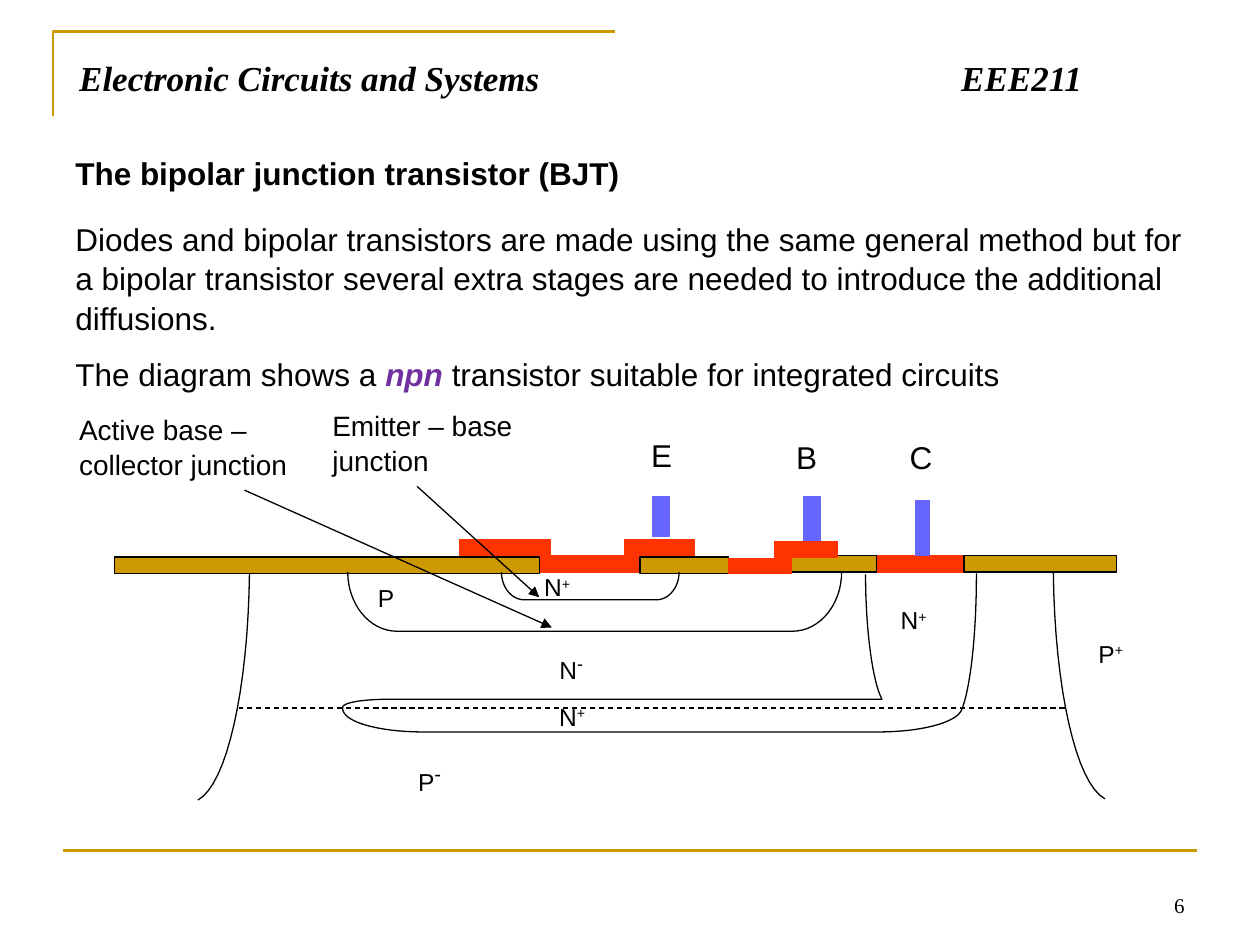
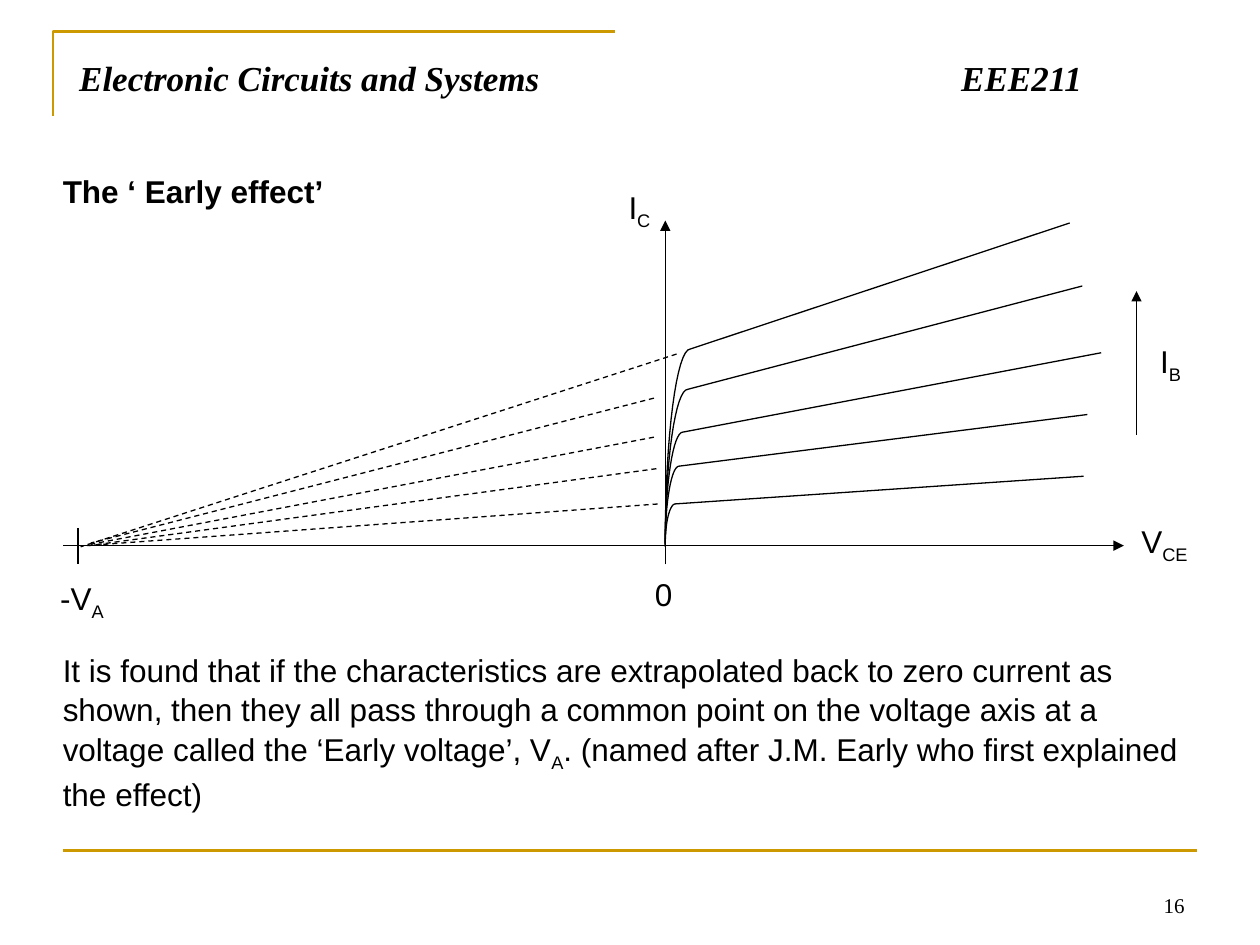
"""Builds two lecture slides on the bipolar junction transistor and the Early effect."""
from dataclasses import dataclass

from lxml import etree
from pptx import Presentation
from pptx.dml.color import RGBColor
from pptx.enum.dml import MSO_LINE
from pptx.enum.shapes import MSO_CONNECTOR, MSO_SHAPE
from pptx.enum.text import MSO_ANCHOR, PP_ALIGN
from pptx.oxml.ns import qn
from pptx.shapes.base import BaseShape
from pptx.slide import Slide
from pptx.util import Cm, Pt

STRAIGHT = MSO_CONNECTOR.STRAIGHT
RECTANGLE = MSO_SHAPE.RECTANGLE
DASH = MSO_LINE.DASH
TOP, BOTTOM = MSO_ANCHOR.TOP, MSO_ANCHOR.BOTTOM
LEFT, RIGHT = PP_ALIGN.LEFT, PP_ALIGN.RIGHT

COLORS = {
    "ink": "000000",
    "gold": "CC9900",
    "metal": "FF3300",
    "terminal": "6666FF",
    "accent": "7030A0",
}
BODY_FONT, TITLE_FONT = "Arial", "Times New Roman"
CM_PER_INCH = 2.54
CURVE_STEPS = 16
THIN, RULE = 0.75, 1.5
SUPER, SUB = 30, -25
SURFACE = 4.54
ORIGIN_X = 5.28


@dataclass(frozen=True)
class Span:
    text: str
    size: float | None = None
    bold: bool = False
    italic: bool = False
    color: str = "ink"
    baseline: int = 0


@dataclass(frozen=True)
class Label:
    left: float
    top: float
    width: float
    height: float
    paragraphs: list[list[Span]]
    size: float = 18
    font: str = BODY_FONT
    align: PP_ALIGN = LEFT
    anchor: MSO_ANCHOR = TOP
    spacing: float = 1.05
    tab: float | None = None


@dataclass(frozen=True)
class Stroke:
    x1: float
    y1: float
    x2: float
    y2: float
    color: str = "ink"
    weight: float = THIN
    dashed: bool = False
    arrow: bool = False


@dataclass(frozen=True)
class Layer:
    left: float
    top: float
    width: float
    height: float
    fill: str
    edge: str


@dataclass(frozen=True)
class Characteristic:
    knee_x: float
    knee_y: float
    foot_y: float
    end_x: float
    end_y: float
    dash_x: float
    dash_y: float
    meet_x: float
    meet_y: float


def inch(value: float) -> int:
    """Turn a position in inches into a length."""
    return Cm(value * CM_PER_INCH)


def rgb(name: str) -> RGBColor:
    """Look up a named colour."""
    return RGBColor.from_string(COLORS[name])


def plain(text: str, **style) -> list[list[Span]]:
    """Wrap one text as a single paragraph."""
    return [[Span(text, **style)]]


def indexed(base: str, index: str, baseline: int, size: float | None = None) -> list[list[Span]]:
    """Make a symbol with a raised or lowered index."""
    return [[Span(base), Span(index, size=size, baseline=baseline)]]


def draw_label(slide: Slide, label: Label) -> None:
    """Draw a text box with its formatted spans."""
    box = slide.shapes.add_textbox(*map(inch, (label.left, label.top, label.width, label.height)))
    frame = box.text_frame
    frame.word_wrap = True
    frame.vertical_anchor = label.anchor
    for number, spans in enumerate(label.paragraphs):
        paragraph = frame.add_paragraph() if number else frame.paragraphs[0]
        paragraph.text = spans[0].text
        for span in spans[1:]:
            paragraph.add_run().text = span.text
        paragraph.alignment = label.align
        paragraph.line_spacing = label.spacing
        if number:
            paragraph.space_before = Pt(label.size / 2)
        if label.tab:
            tabs = etree.SubElement(paragraph._p.get_or_add_pPr(), qn("a:tabLst"))
            etree.SubElement(tabs, qn("a:tab"), pos=str(inch(label.tab)), algn="l")
        for run, span in zip(paragraph.runs, spans):
            run.font.name = label.font
            run.font.size = Pt(span.size or label.size)
            run.font.bold, run.font.italic = span.bold, span.italic
            run.font.color.rgb = rgb(span.color)
            if span.baseline:
                run._r.get_or_add_rPr().set("baseline", str(span.baseline * 1000))


def draw_stroke(slide: Slide, stroke: Stroke) -> None:
    """Draw a straight line, dashed or with an arrowhead at its end if asked."""
    ends = map(inch, (stroke.x1, stroke.y1, stroke.x2, stroke.y2))
    connector = slide.shapes.add_connector(STRAIGHT, *ends)
    connector.line.color.rgb = rgb(stroke.color)
    connector.line.width = Pt(stroke.weight)
    if stroke.dashed:
        connector.line.dash_style = DASH
    properties = connector.element.spPr
    if stroke.arrow:
        etree.SubElement(properties.find(qn("a:ln")), qn("a:tailEnd"), type="triangle")
    etree.SubElement(properties, qn("a:effectLst"))


def edge(shape: BaseShape, color: str, weight: float) -> None:
    """Give a shape its outline and no shadow."""
    shape.shadow.inherit = False
    shape.line.color.rgb = rgb(color)
    shape.line.width = Pt(weight)


def draw_layer(slide: Slide, layer: Layer) -> None:
    """Draw one filled layer of the device."""
    place = map(inch, (layer.left, layer.top, layer.width, layer.height))
    shape = slide.shapes.add_shape(RECTANGLE, *place)
    shape.fill.solid()
    shape.fill.fore_color.rgb = rgb(layer.fill)
    edge(shape, layer.edge, THIN)


def curve_points(start: tuple, curve: tuple) -> list[tuple[float, float]]:
    """Sample a cubic curve given by two controls and an end."""
    corners = [start, curve[0:2], curve[2:4], curve[4:6]]
    points = []
    for step in range(1, CURVE_STEPS + 1):
        t = step / CURVE_STEPS
        weights = ((1 - t) ** 3, 3 * t * (1 - t) ** 2, 3 * t * t * (1 - t), t ** 3)
        points.append(tuple(sum(w * c[axis] for w, c in zip(weights, corners)) for axis in (0, 1)))
    return points


def draw_outline(slide: Slide, start: tuple, *segments: tuple,
                 color: str = "ink", weight: float = THIN) -> None:
    """Draw an open outline of line (2 numbers) and curve (6 numbers) segments."""
    points = [start]
    for segment in segments:
        points += [segment] if len(segment) == 2 else curve_points(points[-1], segment)
    corners = [(inch(x), inch(y)) for x, y in points]
    builder = slide.shapes.build_freeform(*corners[0])
    builder.add_line_segments(corners[1:], close=False)
    shape = builder.convert_to_shape()
    shape.fill.background()
    edge(shape, color, weight)


def draw_well(slide: Slide, left: float, right: float, bottom: float, corner: float) -> None:
    """Draw a diffusion well with two rounded lower corners."""
    bend = SURFACE + 0.55 * (bottom - SURFACE)
    inset = 0.45 * corner
    draw_outline(slide, (left, SURFACE),
                 (left, bend, left + inset, bottom, left + corner, bottom),
                 (right - corner, bottom),
                 (right - inset, bottom, right, bend, right, SURFACE))


def draw_characteristic(slide: Slide, curve: Characteristic) -> None:
    """Draw one output characteristic and its extrapolation."""
    width, height = curve.knee_x - ORIGIN_X, curve.foot_y - curve.knee_y
    draw_stroke(slide, Stroke(curve.dash_x, curve.dash_y, curve.meet_x, curve.meet_y, dashed=True))
    draw_outline(slide, (curve.end_x, curve.end_y), (curve.knee_x, curve.knee_y),
                 (curve.knee_x - 0.55 * width, curve.knee_y,
                  ORIGIN_X, curve.knee_y + 0.45 * height, ORIGIN_X, curve.foot_y))


def start_slide(deck: Presentation, number: int) -> Slide:
    """Add a slide with the shared frame, title and page number."""
    slide = deck.slides.add_slide(deck.slide_layouts[6])
    draw_outline(slide, (0.42, 0.92), (0.42, 0.25), (4.88, 0.25), color="gold", weight=RULE)
    draw_stroke(slide, Stroke(0.5, 6.75, 9.5, 6.75, "gold", RULE))
    draw_label(slide, Label(7.17, 6.83, 2.33, 0.5, plain(str(number)), 12, TITLE_FONT,
                            RIGHT, BOTTOM, 1))
    course = plain("Electronic Circuits and Systems\tEEE211", bold=True, italic=True)
    draw_label(slide, Label(0.53, 0.4, 8.92, 0.61, course, 20, TITLE_FONT, spacing=1, tab=7))
    return slide


def build_transistor(deck: Presentation) -> None:
    """Build the slide with the transistor cross-section."""
    slide = start_slide(deck, 6)
    draw_stroke(slide, Stroke(6.95, SURFACE, 2.41, SURFACE))
    gold, metal, terminal = ("gold", "ink"), ("metal", "metal"), ("terminal", "terminal")
    for layer in (
        Layer(0.91, 4.42, 3.37, 0.13, *gold),
        Layer(5.08, 4.42, 0.7, 0.13, *gold),
        Layer(3.65, 4.28, 0.72, 0.13, *metal),
        Layer(4.96, 4.28, 0.55, 0.13, *metal),
        Layer(6.96, 4.41, 0.74, 0.13, *metal),
        Layer(5.18, 3.94, 0.13, 0.32, *terminal),
        Layer(4.29, 4.41, 0.78, 0.13, *metal),
        Layer(6.26, 4.41, 0.7, 0.13, *gold),
        Layer(5.78, 4.43, 0.5, 0.12, *metal),
        Layer(6.38, 3.94, 0.13, 0.4, *terminal),
        Layer(6.15, 4.3, 0.5, 0.12, *metal),
        Layer(7.65, 4.41, 1.21, 0.13, *gold),
        Layer(7.27, 3.97, 0.11, 0.44, *terminal),
    ):
        draw_layer(slide, layer)
    draw_well(slide, 3.98, 5.39, 4.76, 0.18)
    draw_well(slide, 2.76, 6.68, 5.01, 0.39)
    draw_outline(slide, (6.87, 4.56), (6.87, 5.02, 6.93, 5.42, 7, 5.55), (3.1, 5.55),
                 (2.91, 5.55, 2.74, 5.57, 2.72, 5.61), (2.7, 5.73, 3.01, 5.81, 3.36, 5.81),
                 (6.97, 5.81), (7.3, 5.81, 7.58, 5.74, 7.63, 5.64),
                 (7.7, 5.48, 7.75, 5.05, 7.75, 4.55))
    draw_outline(slide, (8.77, 6.34), (8.54, 6.22, 8.37, 5.46, 8.36, 4.54))
    draw_outline(slide, (1.57, 6.35), (1.8, 6.23, 1.97, 5.47, 1.98, 4.55))
    for stroke in (Stroke(8.45, 5.62, 1.9, 5.62, dashed=True),
                   Stroke(1.94, 3.89, 4.38, 4.98, arrow=True),
                   Stroke(3.31, 3.86, 4.28, 4.74, arrow=True)):
        draw_stroke(slide, stroke)
    explanation = [
        [Span("Diodes and bipolar transistors are made using the same general method but for "
              "a bipolar transistor several extra stages are needed to introduce the additional "
              "diffusions.")],
        [Span("The diagram shows a "), Span("npn", bold=True, italic=True, color="accent"),
         Span(" transistor suitable for integrated circuits")],
    ]
    for label in (
        Label(0.5, 1.16, 5.04, 0.4, plain("The bipolar junction transistor (BJT)", bold=True)),
        Label(0.5, 1.68, 9.05, 1.45, explanation),
        Label(0.53, 3.21, 2.04, 0.64, plain("Active base – collector junction"), 16),
        Label(2.54, 3.18, 2.04, 0.64, plain("Emitter – base junction"), 16),
        Label(5.07, 3.4, 0.45, 0.4, plain("E")),
        Label(6.22, 3.41, 0.45, 0.4, plain("B")),
        Label(7.12, 3.41, 0.45, 0.4, plain("C")),
        Label(2.9, 4.57, 0.37, 0.33, plain("P"), 14),
        Label(4.22, 4.48, 0.5, 0.33, indexed("N", "+", SUPER), 14),
        Label(4.34, 5.08, 0.58, 0.33, indexed("N", "-", SUPER, 18), 14),
        Label(4.34, 5.51, 0.54, 0.33, indexed("N", "+", SUPER), 14),
        Label(7.05, 4.74, 0.49, 0.33, indexed("N", "+", SUPER), 14),
        Label(3.22, 5.94, 0.53, 0.33, indexed("P", "-", SUPER, 20), 14),
        Label(8.62, 5.01, 0.54, 0.33, indexed("P", "+", SUPER), 14),
    ):
        draw_label(slide, label)


def build_early_effect(deck: Presentation) -> None:
    """Build the slide with the extrapolated characteristics."""
    slide = start_slide(deck, 16)
    for stroke in (Stroke(ORIGIN_X, 4.48, ORIGIN_X, 1.75, arrow=True),
                   Stroke(0.5, 4.33, 8.92, 4.33, arrow=True),
                   Stroke(0.62, 4.19, 0.62, 4.48),
                   Stroke(9.02, 3.45, 9.02, 2.31, arrow=True)):
        draw_stroke(slide, stroke)
    for curve in (
        Characteristic(5.48, 2.77, 4.31, 8.49, 1.77, 5.37, 2.81, 0.64, 4.34),
        Characteristic(5.46, 3.09, 4.34, 8.59, 2.27, 5.19, 3.16, 0.72, 4.31),
        Characteristic(5.42, 3.43, 4.33, 8.74, 2.8, 5.19, 3.47, 0.72, 4.32),
        Characteristic(5.39, 3.7, 4.32, 8.63, 3.29, 5.21, 3.72, 0.71, 4.33),
        Characteristic(5.36, 4, 4.32, 8.6, 3.78, 5.22, 4, 0.69, 4.33),
    ):
        draw_characteristic(slide, curve)
    finding = [[
        Span("It is found that if the characteristics are extrapolated back to zero current as "
             "shown, then they all pass through a common point on the voltage axis at a "
             "voltage called the ‘Early voltage’, V"),
        Span("A", baseline=SUB),
        Span(". (named after J.M. Early who first explained the effect)"),
    ]]
    for label in (
        Label(0.4, 1.3, 4.08, 0.4, plain("The ‘ Early effect’", bold=True)),
        Label(0.4, 5.1, 9.2, 1.31, finding),
        Label(0.38, 4.53, 0.77, 0.4, indexed("-V", "A", SUB)),
        Label(5.1, 4.5, 0.47, 0.4, plain("0")),
        Label(4.89, 1.43, 0.47, 0.4, indexed("I", "C", SUB)),
        Label(8.96, 4.08, 0.66, 0.4, indexed("V", "CE", SUB)),
        Label(9.11, 2.65, 0.47, 0.4, indexed("I", "B", SUB)),
    ):
        draw_label(slide, label)


def main() -> None:
    """Build and save the deck."""
    deck = Presentation()
    deck.slide_width, deck.slide_height = Cm(25.4), Cm(19.05)
    build_transistor(deck)
    build_early_effect(deck)
    deck.save("out.pptx")


if __name__ == "__main__":
    main()
